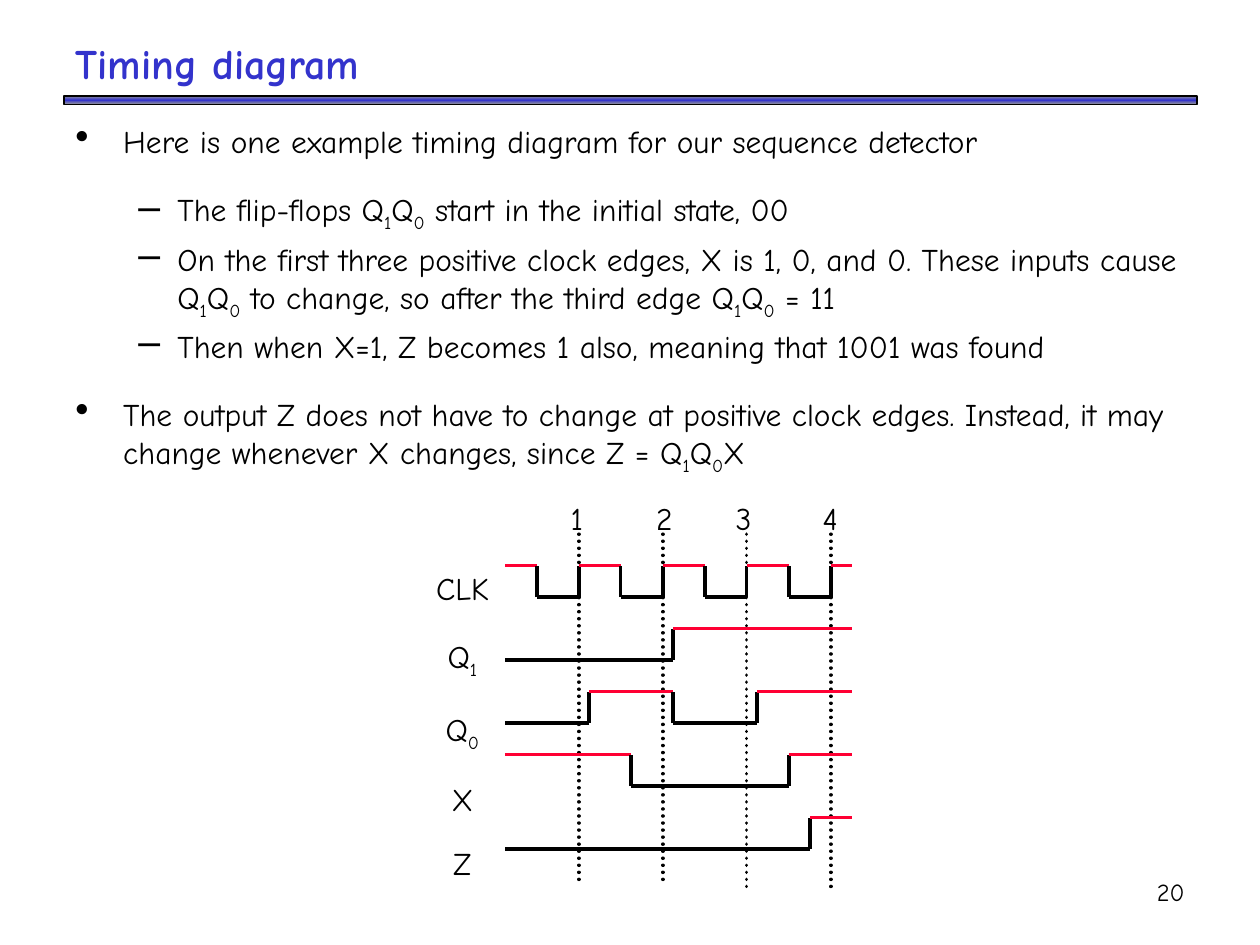
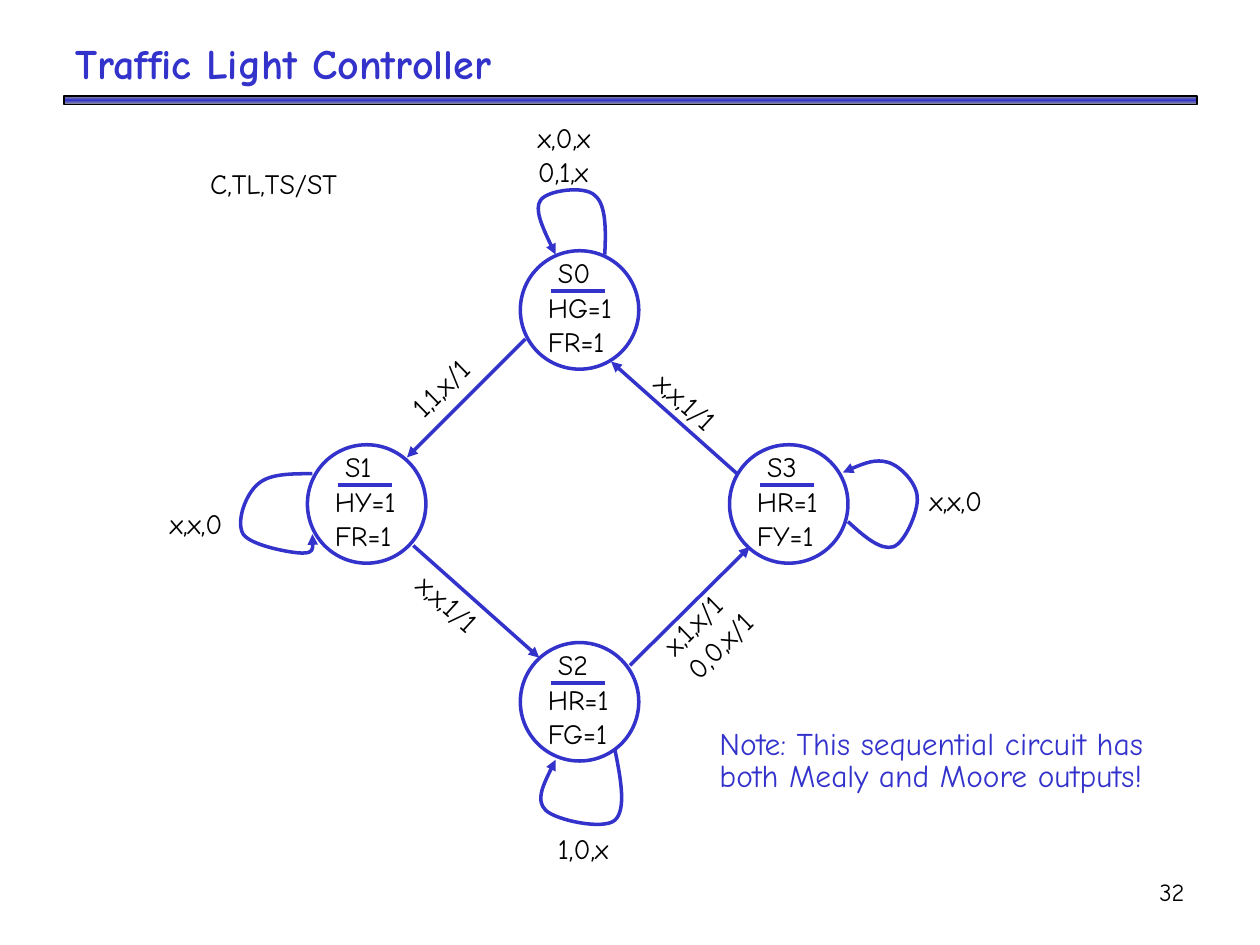
from copy import deepcopy
from itertools import pairwise

from lxml import etree
from pptx import Presentation
from pptx.dml.color import RGBColor
from pptx.enum.dml import MSO_LINE
from pptx.enum.shapes import MSO_CONNECTOR, MSO_SHAPE
from pptx.enum.text import MSO_ANCHOR, MSO_AUTO_SIZE, PP_ALIGN
from pptx.oxml.ns import qn
from pptx.util import Inches, Pt

LEFT, CENTER, RIGHT = PP_ALIGN.LEFT, PP_ALIGN.CENTER, PP_ALIGN.RIGHT
TOP, MIDDLE = MSO_ANCHOR.TOP, MSO_ANCHOR.MIDDLE
DOTS = MSO_LINE.ROUND_DOT
FONT = "Comic Neue"
BLUE, BLACK, GRAY, RED = "3333CC", "000000", "969696", "FF0033"

# Timing diagram: level, space before in points, text ("_" lowers the next character)
POINTS = [
    (0, 3.6, "Here is one example timing diagram for our sequence detector"),
    (1, 17.2, "The flip-flops Q_1Q_0 start in the initial state, 00"),
    (1, 4, "On the first three positive clock edges, X is 1, 0, and 0. These inputs "
           "cause Q_1Q_0 to change, so after the third edge Q_1Q_0 = 11"),
    (1, 3.6, "Then when X=1, Z becomes 1 also, meaning that 1001 was found"),
    (0, 17.2, "The output Z does not have to change at positive clock edges. Instead, "
              "it may change whenever X changes, since Z = Q_1Q_0X"),
]
BULLETS = [("•", 0.38, 0.38), ("–", 0.81, 0.31)]  # mark, margin, hang
START, END, HALF = 4.01, 6.76, 1 / 3
TICKS = [4.26 + HALF * k for k in range(8)]
GRID = [START + HALF * k for k in range(1, 8)]
# name, first level, times at which the level flips, times at which a flat run is cut
WAVES = [
    ("CLK", 1, TICKS, []),
    ("Q_1", 0, GRID[3:4], GRID[4:]),
    ("Q_0", 0, [GRID[1], GRID[3], GRID[5]], GRID[::2]),
    ("X", 1, [GRID[2], 6.26], GRID[:2] + GRID[3:6]),
    ("Z", 0, [6.43], GRID[:6]),
]
WAVE_TOP, WAVE_GAP, SWING = 4.49, 0.5, 0.25
DOT_ENDS = [6.99, 6.99, 7.07, 7.07]
TABS = [0.68, 1.31, 2]

# State diagram: left and top of the circle, name, outputs
STATES = [
    (4.13, 1.99, "S0", ["HG=1", "FR=1"]),
    (2.44, 3.53, "S1", ["HY=1", "FR=1"]),
    (4.13, 5.1, "S2", ["HR=1", "FG=1"]),
    (5.79, 3.53, "S3", ["HR=1", "FY=1"]),
]
ARROWS = [
    (4.17, 2.69, 3.23, 3.63),
    (3.28, 4.33, 4.28, 5.22),
    (5, 5.28, 5.95, 4.34),
    (5.85, 3.76, 4.85, 2.87),
]
# left, top, width, height, turn, lines
LABELS = [
    (1.57, 1.27, 1.46, 0.37, 0, ["C,TL,TS/ST"]),
    (4.17, 0.91, 0.72, 0.64, 0, ["x,0,x", "0,1,x"]),
    (1.25, 3.97, 0.72, 0.37, 0, ["x,x,0"]),
    (4.33, 6.55, 0.72, 0.37, 0, ["1,0,x"]),
    (7.28, 3.79, 0.72, 0.37, 0, ["x,x,0"]),
    (3.06, 2.73, 1.19, 0.37, 315, ["1,1,x/1"]),
    (3.15, 4.68, 0.98, 0.37, 41.7, ["x,x,1/1"]),
    (5.15, 4.58, 1.19, 0.64, 315, ["x,1,x/1", "0,0,x/1"]),
    (5.04, 3.08, 0.98, 0.37, 41.7, ["x,x,1/1"]),
]
# Each loop: start point, then two handles and an end point per curve
LOOPS = [
    [(4.8, 2.02), (4.81, 1.82), (4.81, 1.62), (4.72, 1.55), (4.64, 1.47),
     (4.34, 1.51), (4.29, 1.59), (4.24, 1.66), (4.32, 1.84), (4.41, 2.02)],
    [(2.48, 3.76), (2.31, 3.76), (2.14, 3.76), (2.05, 3.84), (1.95, 3.92),
     (1.87, 4.14), (1.93, 4.24), (1.99, 4.33), (2.31, 4.39), (2.4, 4.39),
     (2.49, 4.39), (2.49, 4.31), (2.48, 4.24)],
    [(4.88, 5.95), (4.93, 6.19), (4.97, 6.43), (4.88, 6.51), (4.79, 6.59),
     (4.41, 6.51), (4.33, 6.43), (4.25, 6.35), (4.33, 6.19), (4.41, 6.03)],
    [(6.73, 4.14), (6.86, 4.26), (6.99, 4.37), (7.09, 4.34), (7.18, 4.31),
     (7.29, 4.06), (7.28, 3.95), (7.28, 3.84), (7.15, 3.7), (7.05, 3.67),
     (6.95, 3.64), (6.82, 3.69), (6.69, 3.75)],
]
NOTE = "Note: This sequential circuit has both Mealy and Moore outputs!"


def rgb(code):
    return RGBColor.from_string(code)


def write(para, text, size=16, color=BLACK, bold=False, align=LEFT, space=None):
    """Fill a paragraph; a character after "_" becomes a subscript."""
    para.alignment = align
    if space:
        para.line_spacing = space
    first, *rest = text.split("_")
    parts = [(first, False)]
    for part in rest:
        parts += [(part[0], True), (part[1:], False)]
    for part, low in parts:
        if not part:
            continue
        run = para.add_run()
        run.text = part
        font = run.font
        font.name, font.size, font.bold = FONT, Pt(size), bold
        font.color.rgb = rgb(color)
        if low:
            run._r.get_or_add_rPr().set("baseline", "-25000")


def put(slide, x, y, w, h, lines, wrap=False, turn=0, anchor=TOP,
        inset=(0.1, 0.05), spaces=None, **style):
    box = slide.shapes.add_textbox(Inches(x), Inches(y), Inches(w), Inches(h))
    box.rotation = turn
    frame = box.text_frame
    frame.word_wrap, frame.vertical_anchor = wrap, anchor
    frame.margin_left = frame.margin_right = Inches(inset[0])
    frame.margin_top = frame.margin_bottom = Inches(inset[1])
    for i, text in enumerate(lines):
        para = frame.add_paragraph() if i else frame.paragraphs[0]
        write(para, text, space=spaces[i] if spaces else None, **style)
    return frame


def add(parent, tag, **attrs):
    node = etree.SubElement(parent, qn(tag))
    for key, value in attrs.items():
        node.set(key, str(value))
    return node


def stroke(line, color, arrow=False):
    line.color.rgb, line.width = rgb(color), Pt(2)
    if arrow:
        add(line._get_or_add_ln(), "a:tailEnd", type="triangle")


def link(slide, x1, y1, x2, y2, color=BLACK, arrow=False, dash=None):
    wire = slide.shapes.add_connector(
        MSO_CONNECTOR.STRAIGHT, Inches(x1), Inches(y1), Inches(x2), Inches(y2))
    if dash:
        wire.line.dash_style = dash
        wire.line._get_or_add_ln().set("cap", "rnd")
    stroke(wire.line, color, arrow)
    add(wire._element.spPr, "a:effectLst")


def start(deck, title, number):
    """Add a slide with its band, title and number."""
    slide = deck.slides.add_slide(deck.slide_layouts[5])
    band = slide.shapes.add_shape(
        MSO_SHAPE.RECTANGLE, Inches(0.51), Inches(0.76), Inches(8.99), Inches(0.07))
    band.shadow.inherit = False
    band.line.color.rgb, band.line.width = rgb(BLACK), Pt(1)
    band.fill.gradient()
    band.fill.gradient_angle = 90
    stops = band._element.spPr.find(".//" + qn("a:gsLst"))
    stops.insert(1, deepcopy(stops[0]))
    for stop, color, place in zip(band.fill.gradient_stops, (GRAY, BLUE, GRAY), (0, 0.5, 1)):
        stop.color.rgb, stop.position = rgb(color), place

    head = slide.shapes.title
    head.left, head.top, head.width, head.height = map(Inches, (0.5, 0.25, 9, 0.5))
    frame = head.text_frame
    frame.vertical_anchor, frame.auto_size = MIDDLE, MSO_AUTO_SIZE.NONE
    write(frame.paragraphs[0], title, size=24, color=BLUE, bold=True)
    put(slide, 7.42, 6.83, 2.08, 0.5, [str(number)], wrap=True, anchor=MIDDLE,
        size=14, align=RIGHT)
    return slide


def list_points(slide):
    frame = put(slide, 0.5, 0.92, 9.5, 5.67, [text for *_, text in POINTS],
                wrap=True, size=18)
    for para, (level, before, _) in zip(frame.paragraphs, POINTS):
        mark, margin, hang = BULLETS[level]
        para.level, para.space_before = level, Pt(before)
        props = para._p.get_or_add_pPr()
        props.set("marL", str(Inches(margin)))
        props.set("indent", str(-Inches(hang)))
        add(props, "a:buSzPct", val=125000)
        add(props, "a:buChar", char=mark)


def draw_wave(slide, top, level, flips, cuts):
    for x1, x2 in pairwise(sorted([START, *flips, *cuts, END])):
        if x1 in flips:
            link(slide, x1, top + SWING, x1, top)
            level = not level
        y = top if level else top + SWING
        link(slide, x1, y, x2, y, RED if level else BLACK)


def draw_timing(slide):
    put(slide, 3.35, 4.32, 0.64, 2.59, [name for name, *_ in WAVES], size=18,
        align=CENTER, spaces=[1.5] + [1.7] * 4)
    for x, end in zip(TICKS[1::2], DOT_ENDS):
        link(slide, x, 4.24, x, end, dash=DOTS)
    for i, (_, *wave) in enumerate(WAVES):
        draw_wave(slide, WAVE_TOP + WAVE_GAP * i, *wave)
    frame = put(slide, 4.43, 3.91, 2.35, 0.4, ["1\t2\t3\t4"], size=18)
    tabs = add(frame.paragraphs[0]._p.get_or_add_pPr(), "a:tabLst")
    for place in TABS:
        add(tabs, "a:tab", pos=Inches(place), algn="l")


def draw_state(slide, x, y, name, outputs):
    ring = slide.shapes.add_shape(
        MSO_SHAPE.OVAL, Inches(x), Inches(y), Inches(0.94), Inches(0.94))
    ring.shadow.inherit = False
    ring.fill.background()
    stroke(ring.line, BLUE)
    put(slide, x + 0.2, y - 0.01, 0.49, 0.37, [name])
    link(slide, x + 0.24, y + 0.32, x + 0.67, y + 0.32, BLUE)
    put(slide, x + 0.12, y + 0.27, 0.74, 0.64, outputs)


def draw_loop(slide, knots):
    """Draw a smooth arrow: each three line steps become one cubic curve."""
    first, *rest = [(Inches(x), Inches(y)) for x, y in knots]
    pen = slide.shapes.build_freeform(*first)
    pen.add_line_segments(rest, close=False)
    loop = pen.convert_to_shape()
    steps = list(loop._element.iter(qn("a:lnTo")))
    outline = steps[0].getparent()
    for i in range(0, len(steps), 3):
        curve = add(outline, "a:cubicBezTo")
        for step in steps[i:i + 3]:
            curve.append(step[0])
            outline.remove(step)
    loop.shadow.inherit = False
    loop.fill.background()
    stroke(loop.line, BLUE, arrow=True)


def draw_states(slide):
    for state in STATES:
        draw_state(slide, *state)
    for arrow in ARROWS:
        link(slide, *arrow, BLUE, arrow=True)
    for knots in LOOPS:
        draw_loop(slide, knots)
    for x, y, w, h, turn, lines in LABELS:
        put(slide, x, y, w, h, lines, wrap=True, turn=turn)
    put(slide, 5.64, 5.76, 3.89, 0.82, [NOTE], wrap=True, inset=(0.07, 0.03),
        spaces=[0.85], size=18, color=BLUE)


def main():
    deck = Presentation()
    deck.slide_width, deck.slide_height = Inches(10), Inches(7.5)
    timing = start(deck, "Timing diagram", 20)
    list_points(timing)
    draw_timing(timing)
    draw_states(start(deck, "Traffic Light Controller", 32))
    deck.save("out.pptx")


if __name__ == "__main__":
    main()
